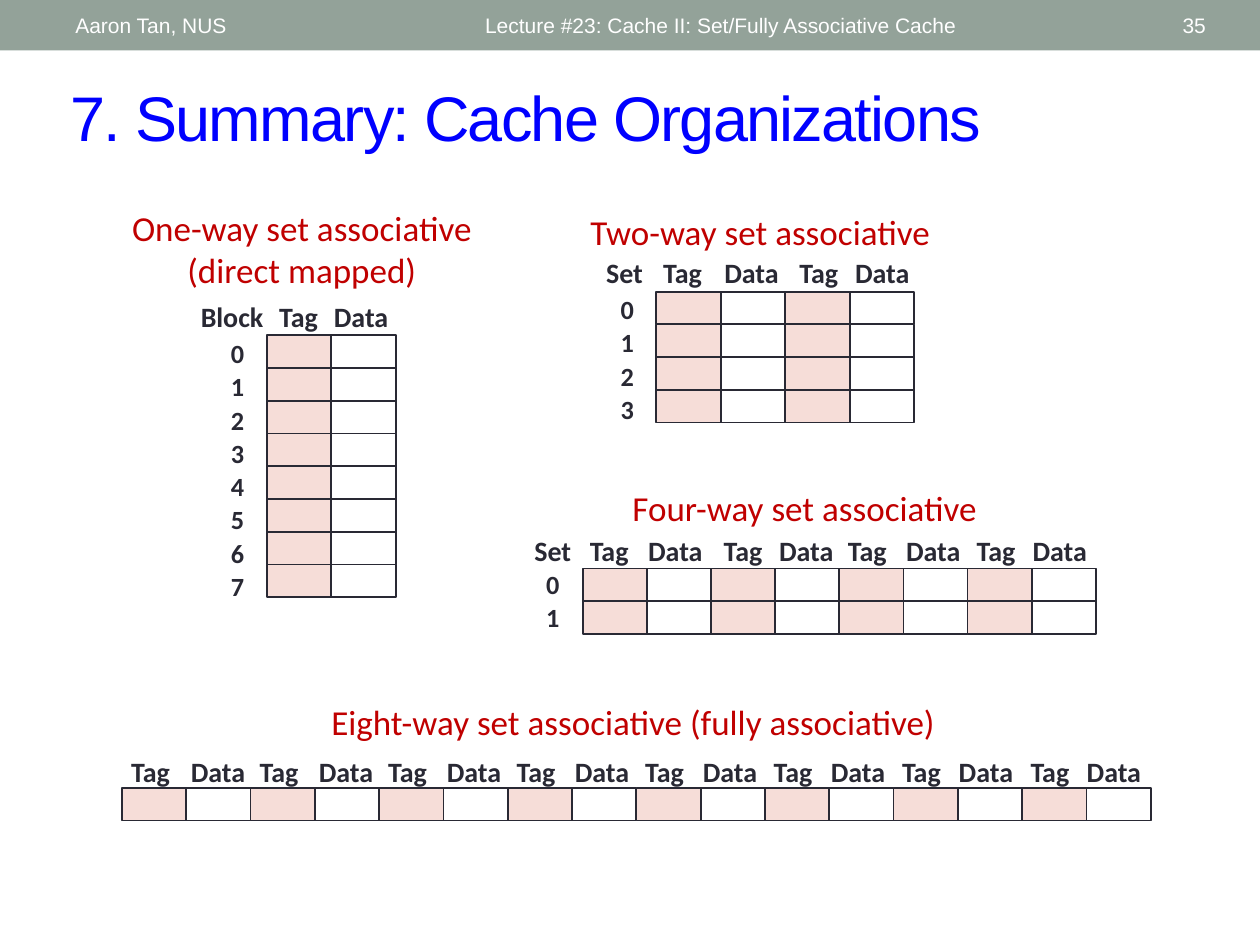
"""Build the summary slide on cache organizations."""
from pptx import Presentation
from pptx import util as u
from pptx.dml.color import RGBColor
from pptx.enum import shapes, text

WHITE = RGBColor(0xFF, 0xFF, 0xFF)
SAGE = RGBColor(0x93, 0xA2, 0x99)
BLUE = RGBColor(0x00, 0x00, 0xFF)
RED = RGBColor(0xC0, 0x00, 0x00)
INK = RGBColor(0x29, 0x29, 0x34)
PINK = RGBColor(0xF6, 0xDD, 0xD8)

ROW_HEIGHT = 0.66
HEADING_HEIGHT = 0.94


def centimetres(*lengths):
    return [u.Cm(length) for length in lengths]


def add_run(paragraph, words, font_name, size, color, bold=False):
    run = paragraph.add_run()
    run.text = words
    run.font.name = font_name
    run.font.size = u.Pt(size)
    run.font.color.rgb = color
    run.font.bold = bold
    return run


def add_text(container, box, lines, size, color, font_name="Calibri", bold=False,
             align=text.PP_ALIGN.CENTER, anchor=text.MSO_ANCHOR.TOP, space_after=0,
             side_margin=0.25):
    frame = container.add_textbox(*centimetres(*box)).text_frame
    frame.word_wrap = True
    frame.vertical_anchor = anchor
    frame.margin_left = frame.margin_right = u.Cm(side_margin)
    for index, line in enumerate(lines):
        paragraph = frame.add_paragraph() if index else frame.paragraphs[0]
        paragraph.alignment = align
        paragraph.space_after = u.Pt(space_after)
        add_run(paragraph, line, font_name, size, color, bold)


def add_rectangle(container, box, fill=None, line=None):
    shape = container.add_shape(shapes.MSO_SHAPE.RECTANGLE, *centimetres(*box))
    shape.shadow.inherit = False
    if fill is None:
        shape.fill.background()
    else:
        shape.fill.solid()
        shape.fill.fore_color.rgb = fill
    if line is None:
        shape.line.fill.background()
    else:
        shape.line.color.rgb = line
        shape.line.width = u.Pt(1)


def add_header(slide):
    add_rectangle(slide.shapes, (0, 0, 25.4, 1.02), SAGE)
    for words, left, width, align in (
        ("Lecture #23: Cache II: Set/Fully Associative Cache", 9.53, 11.43, text.PP_ALIGN.LEFT),
        ("Aaron Tan, NUS", 1.27, 8.05, text.PP_ALIGN.LEFT),
        ("35", 22.15, 2.41, text.PP_ALIGN.RIGHT),
    ):
        add_text(slide.shapes, (left, 0.05, width, 0.91), [words], 12, WHITE, "Arial",
                 align=align, anchor=text.MSO_ANCHOR.MIDDLE)


def set_title(slide, words):
    title = slide.shapes.title
    title.left, title.top, title.width, title.height = centimetres(1.17, 1.45, 23.39, 1.78)
    frame = title.text_frame
    frame.auto_size = text.MSO_AUTO_SIZE.NONE
    frame.vertical_anchor = text.MSO_ANCHOR.MIDDLE
    paragraph = frame.paragraphs[0]
    paragraph.alignment = text.PP_ALIGN.LEFT
    run = add_run(paragraph, words, "Arial", 36, BLUE)
    run.font._element.set("spc", "-100")


def add_cache(slide, caption, caption_box, grid, headings, heading_top, numbers_box=None):
    """Draw one cache: caption, tag and data cells, headings and row numbers."""
    container = slide.shapes.add_group_shape().shapes
    left, top, width, rows, ways = grid
    cell_width = width / (2 * ways)
    add_text(container, caption_box, caption, 20, RED)
    for row in range(rows):
        for column in range(2 * ways):
            box = (left + column * cell_width, top + row * ROW_HEIGHT, cell_width, ROW_HEIGHT)
            add_rectangle(container, box, None if column % 2 else PINK, INK)
    for words, heading_left, heading_width in headings:
        box = (heading_left, heading_top, heading_width, HEADING_HEIGHT)
        add_text(container, box, [words], 16, INK, bold=True, side_margin=0)
    if numbers_box:
        add_text(container, numbers_box, [str(row) for row in range(rows)], 15, INK,
                 bold=True, space_after=1)


def main():
    presentation = Presentation()
    presentation.slide_width, presentation.slide_height = centimetres(25.4, 19.05)
    slide = presentation.slides.add_slide(presentation.slide_layouts[5])
    set_title(slide, "7. Summary: Cache Organizations")
    add_header(slide)

    add_cache(slide, ["One-way set associative", "(direct mapped)"], (2.34, 4.04, 7.49, 1.96),
              (5.38, 6.76, 2.6, 8, 1),
              [("Block", 3.78, 1.8), ("Tag", 5.31, 1.42), ("Data", 6.38, 1.8)],
              5.92, (4.32, 6.68, 0.94, 5.64))

    add_cache(slide, ["Two-way set associative"], (11.58, 4.11, 7.49, 1.12),
              (13.23, 5.88, 5.2, 4, 2),
              [("Set", 11.94, 1.3), ("Tag", 13.06, 1.4), ("Data", 14.3, 1.7),
               ("Tag", 15.82, 1.37), ("Data", 16.87, 1.83)],
              5.03, (12.24, 5.79, 0.81, 2.92))

    add_cache(slide, ["Four-way set associative"], (12.32, 9.68, 7.8, 1.12),
              (11.75, 11.46, 10.34, 2, 4),
              [("Set", 10.13, 2.03), ("Tag", 11.61, 1.34), ("Data", 12.75, 1.73),
               ("Tag", 14.27, 1.42), ("Data", 15.34, 1.83), ("Tag", 16.76, 1.45),
               ("Data", 18.03, 1.57), ("Tag", 19.38, 1.4), ("Data", 20.45, 1.83)],
              10.64, (10.74, 11.33, 0.81, 1.57))

    eight_headings = [heading for way in range(8) for heading in (
        ("Tag", 2.31 + 2.59 * way, 1.45), ("Data", 3.61 + 2.58 * way, 1.57))]
    add_cache(slide, ["Eight-way set associative (fully associative)"], (6.2, 14, 13.13, 1.12),
              (2.46, 15.88, 20.74, 1, 8), eight_headings, 15.09)

    presentation.save("out.pptx")


if __name__ == "__main__":
    main()
